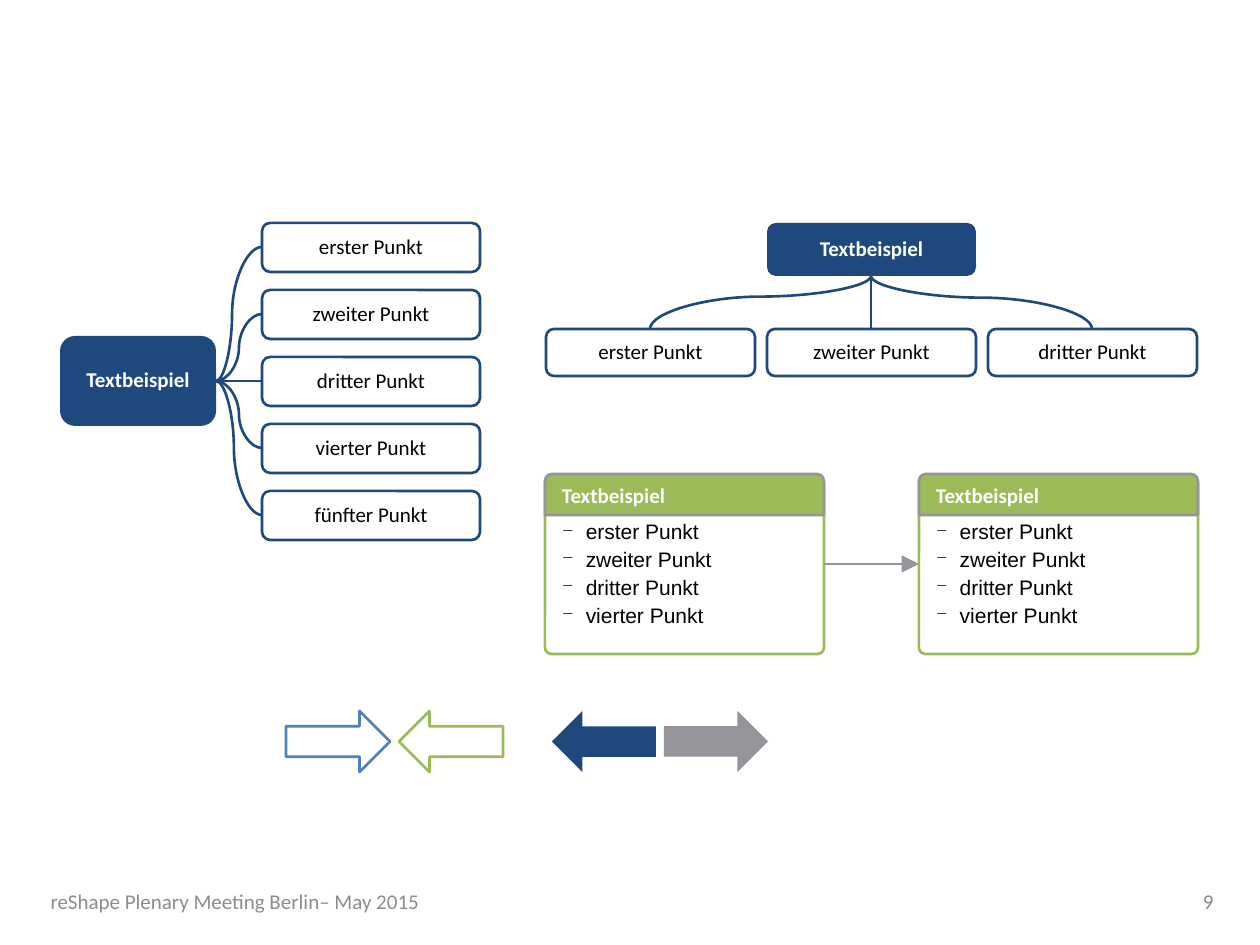
from lxml import etree
from pptx import Presentation
from pptx.dml.color import RGBColor
from pptx.enum.shapes import MSO_CONNECTOR, MSO_SHAPE
from pptx.enum.text import MSO_ANCHOR, PP_ALIGN
from pptx.oxml.ns import qn
from pptx.util import Emu, Pt

STRAIGHT, CURVE = MSO_CONNECTOR.STRAIGHT, MSO_CONNECTOR.CURVE
ROUNDED = MSO_SHAPE.ROUNDED_RECTANGLE
HEADER_SHAPE = MSO_SHAPE.ROUND_2_SAME_RECTANGLE
BLOCK_ARROW = MSO_SHAPE.RIGHT_ARROW
LEFT, CENTER, RIGHT = PP_ALIGN.LEFT, PP_ALIGN.CENTER, PP_ALIGN.RIGHT
TOP, MIDDLE = MSO_ANCHOR.TOP, MSO_ANCHOR.MIDDLE

NAVY = RGBColor(0x1F, 0x49, 0x7D)
BLUE = RGBColor(0x4F, 0x81, 0xBD)
GREEN = RGBColor(0x9B, 0xBB, 0x59)
GRAY = RGBColor(0x93, 0x95, 0x9A)
FOOTER_GRAY = RGBColor(0x8C, 0x8C, 0x8C)
NUMBER_GRAY = RGBColor(0x89, 0x89, 0x89)
WHITE = RGBColor(0xFF, 0xFF, 0xFF)
BLACK = RGBColor(0, 0, 0)

EMU_PER_PX = 914400 / 126
POINTS = ["erster Punkt", "zweiter Punkt", "dritter Punkt", "vierter Punkt", "fünfter Punkt"]
HEADING = "Textbeispiel"


def px(length):
    return Emu(round(length * EMU_PER_PX))


def add_shape(slide, kind, box, fill=None, line=None):
    shape = slide.shapes.add_shape(kind, *map(px, box))
    shape.shadow.inherit = False
    if fill is None:
        shape.fill.background()
    else:
        shape.fill.solid()
        shape.fill.fore_color.rgb = fill
    if line is None:
        shape.line.fill.background()
    else:
        shape.line.color.rgb = line
        shape.line.width = Pt(1.5)
    return shape


def set_text(shape, text, color, align, bold=False, font="Calibri", anchor=MIDDLE, insets=None):
    frame = shape.text_frame
    frame.word_wrap = True
    frame.vertical_anchor = anchor
    if insets is not None:
        (frame.margin_left, frame.margin_top,
         frame.margin_right, frame.margin_bottom) = map(px, insets)
    frame.text = text
    for paragraph in frame.paragraphs:
        paragraph.alignment = align
        for run in paragraph.runs:
            run.font.name = font
            run.font.size = Pt(12)
            run.font.bold = bold
            run.font.color.rgb = color


def add_label(slide, left, top, width, height, text, color, align):
    label = slide.shapes.add_textbox(*map(px, (left, top, width, height)))
    set_text(label, text, color, align)


def add_node(slide, box, text, root=False):
    node = add_shape(slide, ROUNDED, box, NAVY if root else WHITE, None if root else NAVY)
    set_text(node, text, WHITE if root else BLACK, CENTER, root,
             insets=(8, 9, 8, 9) if root else (0, 0, 0, 0))
    node.text_frame.paragraphs[0].line_spacing = 0.9


def add_line(slide, kind, start, end, color):
    line = slide.shapes.add_connector(kind, *map(px, start + end))
    line.line.color.rgb = color
    line.line.width = Pt(1.5)
    etree.SubElement(line._element.spPr, qn("a:effectLst"))
    return line


def add_curve(slide, start, end, bend):
    curve = add_line(slide, CURVE, start, end, NAVY)
    guides = curve._element.spPr.find(qn("a:prstGeom")).find(qn("a:avLst"))
    etree.SubElement(guides, qn("a:gd"), name="adj1", fmla=f"val {round(bend * 100000)}")
    return curve


def add_falling_curve(slide, start, end, bend):
    """Curve that leaves downwards: a sideways curve turned about its centre."""
    center_x, center_y = (start[0] + end[0]) / 2, (start[1] + end[1]) / 2
    depth, span = end[1] - start[1], abs(end[0] - start[0])
    curve = add_curve(slide, (center_x - depth / 2, center_y - span / 2),
                      (center_x + depth / 2, center_y + span / 2), bend)
    frame = curve._element.spPr.find(qn("a:xfrm"))
    to_right = end[0] > start[0]
    frame.set("rot", str((270 if to_right else 90) * 60000))
    if to_right:
        frame.set("flipH", "1")


def add_side_tree(slide):
    left, top, width, height, pitch = 262, 223, 218, 49, 67
    trunk = (216, 381)
    for index, (point, bend) in enumerate(zip(POINTS, (0.35, 0.5, None, 0.5, 0.39))):
        child_top = top + index * pitch
        add_node(slide, (left, child_top, width, height), point)
        end = (left, child_top + height // 2)
        if bend is None:
            add_line(slide, STRAIGHT, trunk, end, NAVY)
        else:
            add_curve(slide, trunk, end, bend)
    add_node(slide, (60, 336, 156, 90), HEADING, root=True)


def add_top_tree(slide):
    left, top, width, height, pitch = 546, 329, 209, 47, 221
    root_left, root_top, root_height = left + pitch, 223, 53
    trunk = (root_left + width // 2, root_top + root_height)
    for index, (point, bend) in enumerate(zip(POINTS, (0.39, None, 0.41))):
        child_left = left + index * pitch
        add_node(slide, (child_left, top, width, height), point)
        end = (child_left + width // 2, top)
        if bend is None:
            add_line(slide, STRAIGHT, trunk, end, NAVY)
        else:
            add_falling_curve(slide, trunk, end, bend)
    add_node(slide, (root_left, root_top, width, root_height), HEADING, root=True)


def add_dash(paragraph):
    properties = paragraph._p.get_or_add_pPr()
    properties.set("marL", str(px(24)))
    properties.set("indent", str(-px(24)))
    etree.SubElement(properties, qn("a:buSzPct"), val="75000")
    etree.SubElement(properties, qn("a:buChar"), char="−")


def add_card(slide, left, width):
    body = add_shape(slide, ROUNDED, (left, 476, width, 178), line=GREEN)
    body.adjustments[0] = 0.035
    set_text(body, "\n".join(POINTS[:4]), BLACK, LEFT, font="Arial",
             anchor=TOP, insets=(15, 41, 0, 0))
    for paragraph in body.text_frame.paragraphs:
        paragraph.space_before = Pt(1.5)
        add_dash(paragraph)
    header = add_shape(slide, HEADER_SHAPE, (left, 474, width, 41), GREEN, GRAY)
    set_text(header, HEADING, WHITE, LEFT, bold=True, insets=(15, 0, 0, 0))


def add_cards(slide):
    first, second, width, arrow_y = 545, 919, 279, 564
    for left in (first, second):
        add_card(slide, left, width)
    arrow = add_line(slide, STRAIGHT, (first + width, arrow_y), (second, arrow_y), GRAY)
    etree.SubElement(arrow.line._get_or_add_ln(), qn("a:tailEnd"),
                     type="triangle", w="lg", len="lg")


def add_block_arrows(slide):
    for left, rotation, fill, line in ((286, 0, WHITE, BLUE), (399, 180, WHITE, GREEN),
                                       (552, 180, NAVY, None), (664, 0, GRAY, None)):
        arrow = add_shape(slide, BLOCK_ARROW, (left, 711, 104, 61), fill, line)
        arrow.rotation = rotation


def main():
    presentation = Presentation()
    presentation.slide_width, presentation.slide_height = px(1260), px(945)
    slide = presentation.slides.add_slide(presentation.slide_layouts[6])

    # Footer
    add_label(slide, 35, 876, 400, 50, "reShape Plenary Meeting Berlin– May 2015",
              FOOTER_GRAY, CENTER)
    add_label(slide, 1125, 876, 101, 50, "9", NUMBER_GRAY, RIGHT)

    # Diagrams
    add_cards(slide)
    add_block_arrows(slide)
    add_top_tree(slide)
    add_side_tree(slide)

    presentation.save("out.pptx")


if __name__ == "__main__":
    main()
